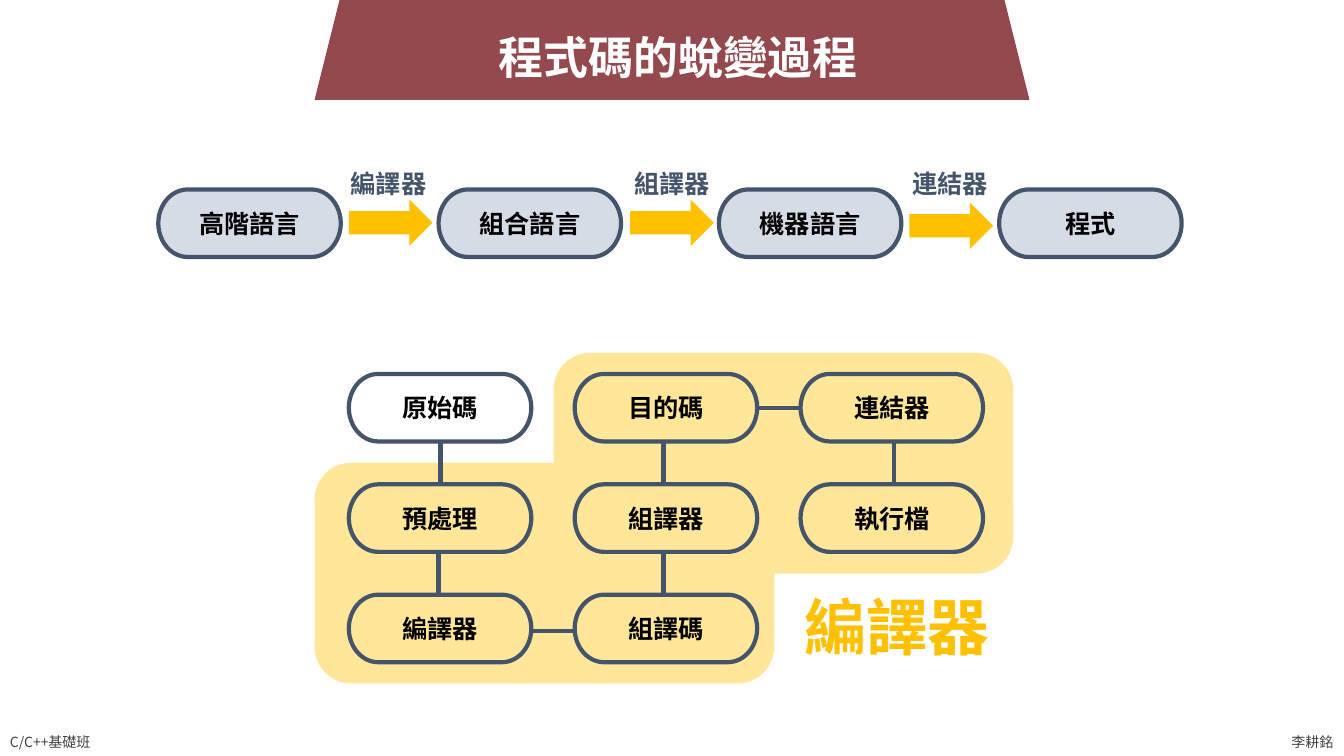
"""Build the slide on how source code turns into a program."""
from lxml import etree
from pptx import Presentation
from pptx.dml.color import RGBColor
from pptx.enum.shapes import MSO_CONNECTOR, MSO_SHAPE
from pptx.enum.text import MSO_ANCHOR, MSO_AUTO_SIZE, PP_ALIGN
from pptx.oxml.ns import qn
from pptx.util import Inches, Pt

TRAPEZOID = MSO_SHAPE.TRAPEZOID
ROUNDED = MSO_SHAPE.ROUNDED_RECTANGLE
PILL = MSO_SHAPE.FLOWCHART_TERMINATOR
ARROW = MSO_SHAPE.RIGHT_ARROW
STRAIGHT = MSO_CONNECTOR.STRAIGHT
MIDDLE = MSO_ANCHOR.MIDDLE
CENTER, LEFT = PP_ALIGN.CENTER, PP_ALIGN.LEFT
FIT_SHAPE = MSO_AUTO_SIZE.SHAPE_TO_FIT_TEXT
FONT = "Noto Sans CJK TC"
COLORS = {
    "banner": "94494E", "white": "FFFFFF", "panel": "FFE699", "slate": "44546A",
    "pale": "D6DCE5", "gold": "FFC000", "black": "000000", "footer": "404040",
}
PILL_W, PILL_H = 1.81, 0.67

deck = Presentation()
deck.slide_width, deck.slide_height = Inches(13.33), Inches(7.5)
page = deck.slides.add_slide(deck.slide_layouts[6])


def add_block(kind, left, top, width, height, fill=None, outline=None):
    """Add a preset shape with an optional fill and outline."""
    block = page.shapes.add_shape(
        kind, Inches(left), Inches(top), Inches(width), Inches(height))
    block.shadow.inherit = False
    if fill:
        block.fill.solid()
        block.fill.fore_color.rgb = RGBColor.from_string(COLORS[fill])
    else:
        block.fill.background()
    if outline:
        block.line.color.rgb = RGBColor.from_string(COLORS[outline])
        block.line.width = Pt(3)
    else:
        block.line.fill.background()
    return block


def write(box, text, size, color, bold=True, align=LEFT):
    """Write one unwrapped line into a box."""
    box.text_frame.word_wrap = False
    para = box.text_frame.paragraphs[0]
    para.alignment = align
    span = para.add_run()
    span.text = text
    span.font.size = Pt(size)
    span.font.bold = bold
    span.font.name = FONT
    span.font.color.rgb = RGBColor.from_string(COLORS[color])
    etree.SubElement(span.font._element, qn("a:ea"), typeface=FONT)


add_block(TRAPEZOID, 3.12, -0.23, 7.09, 1.22, "banner")
for left, top in [(5.49, 3.5), (3.12, 4.59)]:
    add_block(ROUNDED, left, top, 4.56, 2.19, "panel")

for index, stage in enumerate(["高階語言", "組合語言", "機器語言", "程式"]):
    pill = add_block(PILL, 1.57 + 2.78 * index, 1.88, PILL_W, PILL_H, "pale", "slate")
    pill.text_frame.vertical_anchor = MIDDLE
    write(pill, stage, 18, "black", align=CENTER)

for left, top in [(3.46, 1.98), (6.25, 1.98), (9.02, 2.01)]:
    add_block(ARROW, left, top, 0.83, 0.46, "gold")

columns = [["原始碼", "預處理", "編譯器"], ["目的碼", "組譯器", "組譯碼"], ["連結器", "執行檔"]]
for column, steps in enumerate(columns):
    for row, step in enumerate(steps):
        pill = add_block(PILL, 3.46 + 2.24 * column, 3.71 + 1.095 * row,
                         PILL_W, PILL_H, outline="slate")
        pill.text_frame.vertical_anchor = MIDDLE
        write(pill, step, 18, "black", align=CENTER)

links = [
    (4.37, 4.38, 4.37, 4.8), (4.35, 5.48, 4.35, 5.9),
    (6.58, 4.38, 6.58, 4.8), (6.58, 5.48, 6.58, 5.9),
    (8.87, 4.38, 8.87, 4.8), (7.51, 4.05, 7.94, 4.05), (5.27, 6.26, 5.7, 6.26),
]
for ends in links:
    link = page.shapes.add_connector(STRAIGHT, *[Inches(end) for end in ends])
    link.line.color.rgb = RGBColor.from_string(COLORS["slate"])
    link.line.width = Pt(3)
    etree.SubElement(link._element.spPr, qn("a:effectLst"))

labels = [
    ("程式碼的蛻變過程", 4.85, 0.24, 3.79, 0.64, 32, "white", True),
    ("編譯器", 3.38, 1.62, 0.96, 0.4, 18, "slate", True),
    ("組譯器", 6.19, 1.62, 0.96, 0.4, 18, "slate", True),
    ("連結器", 8.95, 1.62, 0.96, 0.4, 18, "slate", True),
    ("編譯器", 7.88, 5.79, 2.05, 0.84, 44, "gold", True),
    ("C/C++基礎班", 0, 7.23, 1.07, 0.27, 10, "footer", False),
    ("李耕銘", 12.71, 7.23, 0.62, 0.27, 10, "footer", False),
]
for text, left, top, width, height, size, color, bold in labels:
    label = page.shapes.add_textbox(
        Inches(left), Inches(top), Inches(width), Inches(height))
    label.text_frame.auto_size = FIT_SHAPE
    label.text_frame.vertical_anchor = MIDDLE
    write(label, text, size, color, bold)

deck.save("out.pptx")
